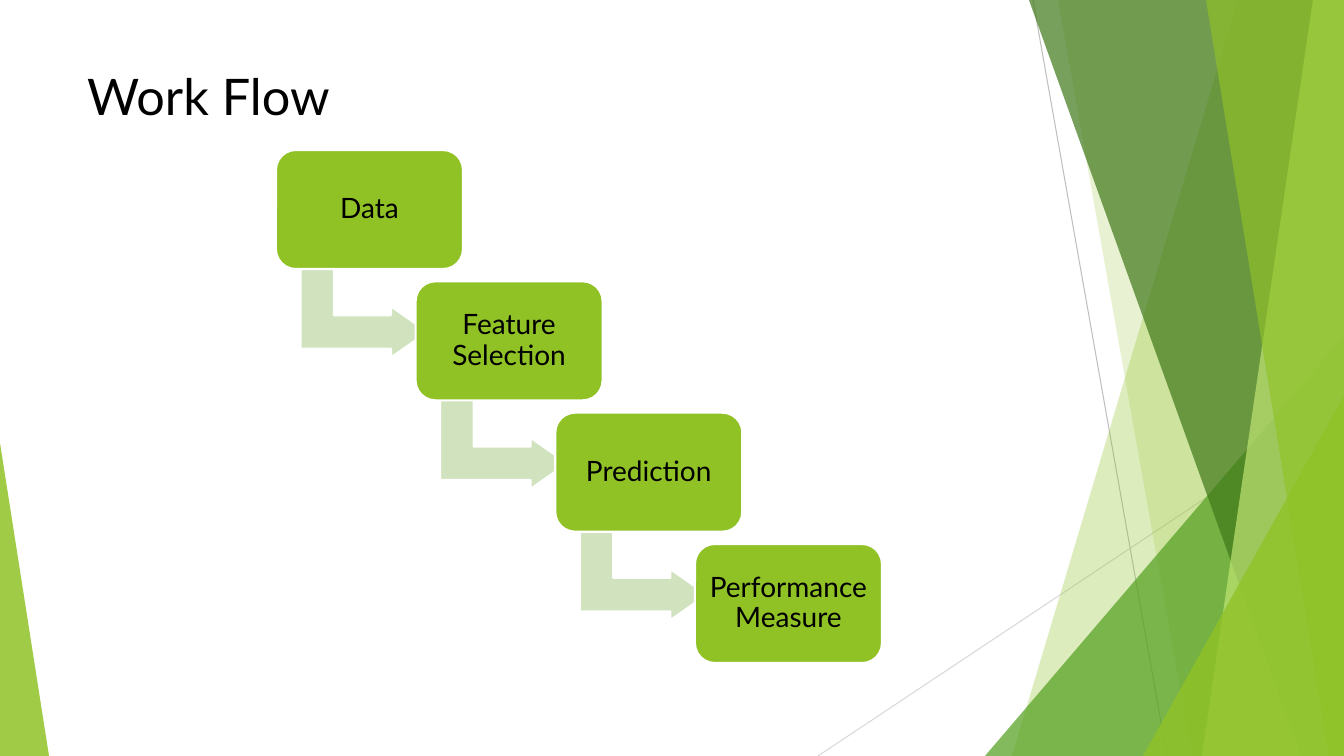
from collections import namedtuple

from lxml.etree import SubElement
from pptx import Presentation
from pptx.dml.color import RGBColor
from pptx.enum.shapes import MSO_CONNECTOR as Connector, MSO_SHAPE as Preset
from pptx.enum.text import MSO_ANCHOR as Anchor, MSO_AUTO_SIZE as AutoSize, PP_ALIGN as Align
from pptx.oxml.ns import qn
from pptx.util import Pt

PIXEL = 914400 / 100.8  # EMU in one pixel
FONT = "Lato"
BLACK = RGBColor(0, 0, 0)
WHITE = RGBColor(255, 255, 255)
LIME = RGBColor(0x90, 0xC2, 0x26)
PALE_LIME = RGBColor(0xC0, 0xE4, 0x74)
GREEN = RGBColor(0x54, 0xA0, 0x21)
DARK_GREEN = RGBColor(0x3F, 0x78, 0x19)
ARROW_GREEN = RGBColor(0xD1, 0xE3, 0xBE)
GREY = RGBColor(0xBF, 0xBF, 0xBF)
LIGHT_GREY = RGBColor(0xD9, 0xD9, 0xD9)

Box = namedtuple("Box", "left top width height")


def emu(*pixels):
    """Turn pixel lengths into EMU."""
    return [round(value * PIXEL) for value in pixels]


def paint(shape, color, opacity=100, outline=None):
    """Give a shape a flat fill, its opacity in percent and an optional outline."""
    shape.shadow.inherit = False
    shape.fill.solid()
    shape.fill.fore_color.rgb = color
    if opacity < 100:
        tint = shape.fill._xPr.find(".//" + qn("a:srgbClr"))
        SubElement(tint, qn("a:alpha"), val=str(opacity * 1000))
    if outline is None:
        shape.line.fill.background()
    else:
        shape.line.color.rgb = outline
        shape.line.width = Pt(1.5)


def add_triangle(page, box, apex, color, opacity):
    """Add a triangle whose apex lies at a fraction of its width."""
    triangle = page.shapes.add_shape(Preset.ISOSCELES_TRIANGLE, *emu(*box))
    triangle.adjustments[0] = apex
    paint(triangle, color, opacity)


def add_blade(page, box, top_x, bottom_x, color, opacity):
    """Fill from a slanted left edge to the right side of the box."""
    right, bottom = box.left + box.width, box.top + box.height
    builder = page.shapes.build_freeform(box.left + top_x, box.top, scale=PIXEL)
    builder.add_line_segments(
        [(right, box.top), (right, bottom), (box.left + bottom_x, bottom)])
    paint(builder.convert_to_shape(), color, opacity)


def add_hairline(page, box, start, end, color):
    """Draw a thin line between two points relative to the box."""
    ends = [box.left + start[0], box.top + start[1], box.left + end[0], box.top + end[1]]
    line = page.shapes.add_connector(Connector.STRAIGHT, *emu(*ends))
    line.line.color.rgb = color
    line.line.width = Pt(0.75)
    SubElement(line._element.spPr, qn("a:effectLst"))


def add_facets(page, box):
    """Layer the translucent green facets on the right side."""
    def corner(left, top):
        return Box(box.left + left, box.top + top, box.width - left, box.height - top)

    add_hairline(page, box, (48, 0), (182, box.height), GREY)
    add_hairline(page, box, (box.width, 406), (-167, box.height), LIGHT_GREY)
    add_blade(page, box, 253, 27, LIME, 30)
    add_blade(page, box, 73, 207, LIME, 20)
    add_triangle(page, corner(0, 336), 1, GREEN, 72)
    add_blade(page, box, 44, 316, DARK_GREEN, 70)
    add_blade(page, box, 328, 217, PALE_LIME, 70)
    add_blade(page, box, 221, 344, LIME, 65)
    add_triangle(page, corner(158, 396), 1, LIME, 80)


def format_title(page, box, wording):
    """Place and style the title placeholder."""
    title = page.shapes.title
    title.left, title.top, title.width, title.height = emu(*box)
    frame = title.text_frame
    frame.text = wording
    frame.auto_size = AutoSize.NONE
    frame.vertical_anchor = Anchor.TOP
    para = frame.paragraphs[0]
    para.alignment = Align.LEFT
    para.font.name, para.font.size = FONT, Pt(36)
    para.font.color.rgb = BLACK


def add_step(page, box, wording):
    """Add one rounded box of the work flow."""
    step = page.shapes.add_shape(Preset.ROUNDED_RECTANGLE, *emu(*box))
    step.adjustments[0] = 0.167
    paint(step, LIME, outline=WHITE)
    frame = step.text_frame
    frame.word_wrap = True
    frame.vertical_anchor = Anchor.MIDDLE
    margin, = emu(8)
    frame.margin_left = frame.margin_right = margin
    frame.margin_top = frame.margin_bottom = margin
    frame.text = wording
    para = frame.paragraphs[0]
    para.alignment = Align.CENTER
    para.line_spacing = 0.9
    para.font.name, para.font.size = FONT, Pt(20)
    para.font.color.rgb = BLACK


def add_bent_arrow(page, box):
    """Add the arrow leading from a step box down to the next one."""
    arrow = page.shapes.add_shape(
        Preset.BENT_UP_ARROW, *emu(box.left + 37, box.top + 93, 102, 127))
    arrow.rotation = 90
    for index, value in enumerate((0.328, 0.25, 0.358)):
        arrow.adjustments[index] = value
    paint(arrow, ARROW_GREEN, outline=WHITE)


def add_staircase(page, box, names):
    """Spread the steps evenly down the diagonal of the box."""
    width, height = 187, 119
    gaps = len(names) - 1
    for index, name in enumerate(names):
        place = Box(box.left + (box.width - width) * index / gaps,
                    box.top + (box.height - height) * index / gaps, width, height)
        if index < gaps:
            add_bent_arrow(page, place)
        add_step(page, place, name)


def build_work_flow(deck):
    """Build the work flow slide."""
    page = deck.slides.add_slide(deck.slide_layouts[5])
    add_facets(page, Box(985, 0, 359, 756))
    add_triangle(page, Box(0, 443, 49, 313), 0, LIME, 85)
    format_title(page, Box(77, 60, 948, 72), "Work Flow")
    add_staircase(page, Box(276, 150, 606, 513),
                  ["Data", "Feature Selection", "Prediction", "Performance Measure"])


deck = Presentation()
deck.slide_width, deck.slide_height = emu(1344, 756)
build_work_flow(deck)
deck.save("out.pptx")
